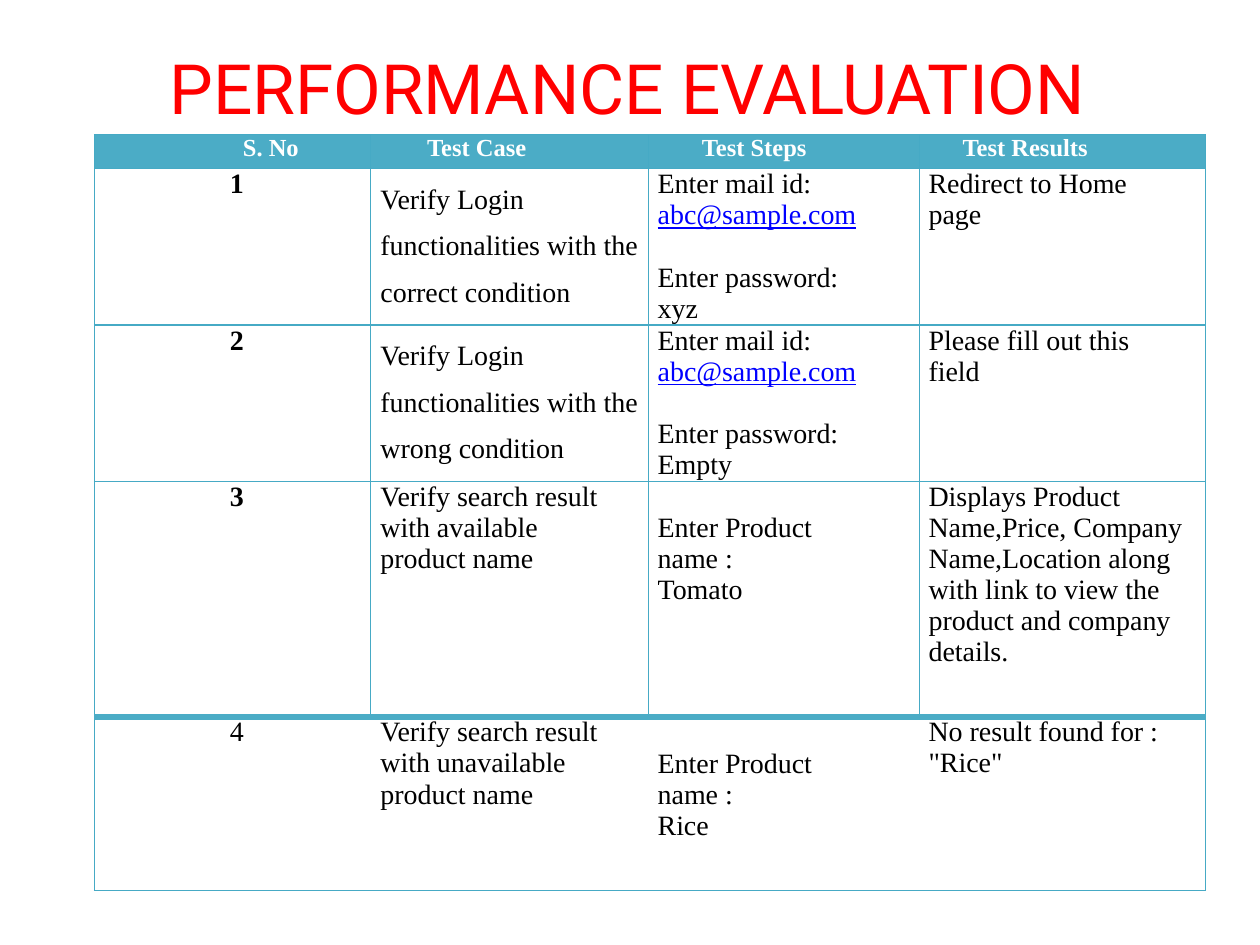
from lxml import etree
from pptx import Presentation
from pptx.dml.color import RGBColor
from pptx.enum.text import MSO_ANCHOR, PP_ALIGN
from pptx.oxml.ns import qn
from pptx.util import Inches, Pt

CENTER, LEFT = PP_ALIGN.CENTER, PP_ALIGN.LEFT
MIDDLE, TOP = MSO_ANCHOR.MIDDLE, MSO_ANCHOR.TOP
TEAL, EDGE, BLACK, WHITE, BLUE, RED = "4BACC6", "46AAC5", "000000", "FFFFFF", "0000FF", "FF0000"
SERIF = "Times New Roman"

TITLE = "PERFORMANCE EVALUATION"
HEADERS = ["S. No", "Test Case", "Test Steps", "Test Results"]
MAIL = ("Enter mail id: ", "abc@sample.com")
ROWS = [
    [["1"], ["Verify Login functionalities with the correct condition"],
     [MAIL, "Enter password: xyz"], ["Redirect to Home page"]],
    [["2"], ["Verify Login functionalities with the wrong condition"],
     [MAIL, "Enter password: Empty"], ["Please fill out this field"]],
    [["3"], ["Verify search result with available product name"],
     ["Enter Product name :", "Tomato"],
     ["Displays Product Name,Price, Company Name,Location along with link "
      "to view the product and company details."]],
    [["4"], ["Verify search result with unavailable product name"],
     ["Enter Product name :", "Rice"], ['No result found for : "Rice"']],
]
COLS = [2.19, 2.21, 2.15, 2.27]
HEIGHTS = [0.27, 1.24, 1.24, 1.87, 1.38]
HEAD_INDENT = [0.61, 0.45, 0.42, 0.34]
BODY_INDENT = [0.07, 0.08, 0.07, 0.07]
LOGIN_MARGIN = [0, 0, 0.45, 0.4]
SEARCH_MARGIN = [0, 0.3, 0.45, 0]
LAST = len(ROWS)


def rgb(value):
    return RGBColor.from_string(value)


def add_run(p, text, color=BLACK, **fmt):
    r = p.add_run()
    r.text = text
    r.font.color.rgb = rgb(color)
    for name, value in fmt.items():
        setattr(r.font, name, value)


def set_borders(cell, borders):
    tc_pr = cell._tc.get_or_add_tcPr()
    for side in "LRTB":
        color, width = borders[side]
        ln = etree.SubElement(tc_pr, qn(f"a:ln{side}"), w=str(Pt(width)))
        if color:
            fill = etree.SubElement(ln, qn("a:solidFill"))
            etree.SubElement(fill, qn("a:srgbClr"), val=color)
        else:
            etree.SubElement(ln, qn("a:noFill"))


def borders_for(row, col):
    thin, thick, none = (EDGE, 0.75), (TEAL, 4), (None, 0)
    borders = dict.fromkeys("LRTB", thin)
    if row == LAST:
        borders["T"] = thick
        if col > 0:
            borders["L"] = none
        if col < len(COLS) - 1:
            borders["R"] = none
    elif row == LAST - 1:
        borders["B"] = thick
    return borders


def fill_cell(cell, row, col, paragraphs):
    head, login, search = row == 0, row in (1, 2), row in (3, 4)
    right = LOGIN_MARGIN[col] if login else SEARCH_MARGIN[col] if search else 0
    top = 0.25 if search and col == 2 else 0
    layout = {"margin_left": 0, "margin_right": Inches(right), "margin_top": Inches(top),
              "margin_bottom": 0, "vertical_anchor": TOP}
    for name, value in layout.items():
        setattr(cell, name, value)
    set_borders(cell, borders_for(row, col))
    if head:
        cell.fill.solid()
        cell.fill.fore_color.rgb = rgb(TEAL)
    else:
        cell.fill.background()
    indent = (HEAD_INDENT if head else BODY_INDENT)[col]
    fmt = {"name": SERIF, "size": Pt(14 if head else 16),
           "bold": head or (col == 0 and row < LAST)}
    tf = cell.text_frame
    for i, content in enumerate(paragraphs):
        p = tf.add_paragraph() if i else tf.paragraphs[0]
        p.alignment = CENTER if col == 0 else LEFT
        p._p.get_or_add_pPr().set("marL", str(Inches(indent)))
        p.line_spacing = 1.5 if login and col == 1 else 1.0
        p.space_before = Pt(18 if login and i else 0)
        if isinstance(content, tuple):
            label, address = content
            add_run(p, label, **fmt)
            add_run(p, address, BLUE, underline=True, **fmt)
        else:
            add_run(p, content, WHITE if head else BLACK, **fmt)


def main():
    prs = Presentation()
    prs.slide_width, prs.slide_height = Inches(10), Inches(7.5)
    s = prs.slides.add_slide(prs.slide_layouts[5])

    title = s.shapes.title
    title.left, title.top, title.width, title.height = map(Inches, (1.14, 0.29, 7.68, 0.79))
    tf = title.text_frame
    frame = {"margin_left": 0, "margin_right": 0, "margin_top": 0, "margin_bottom": 0,
             "vertical_anchor": MIDDLE, "word_wrap": True}
    for name, value in frame.items():
        setattr(tf, name, value)
    tf.paragraphs[0].alignment = CENTER
    add_run(tf.paragraphs[0], TITLE, RED, name="Roboto", size=Pt(39.6))

    table = s.shapes.add_table(len(HEIGHTS), len(COLS), Inches(0.75), Inches(1.07),
                               Inches(sum(COLS)), Inches(sum(HEIGHTS))).table
    table.horz_banding = False
    for column, width in zip(table.columns, COLS):
        column.width = Inches(width)
    for row, height in zip(table.rows, HEIGHTS):
        row.height = Inches(height)
    for i, cells in enumerate([[[h] for h in HEADERS]] + ROWS):
        for j, paragraphs in enumerate(cells):
            fill_cell(table.cell(i, j), i, j, paragraphs)

    prs.save("out.pptx")


if __name__ == "__main__":
    main()
